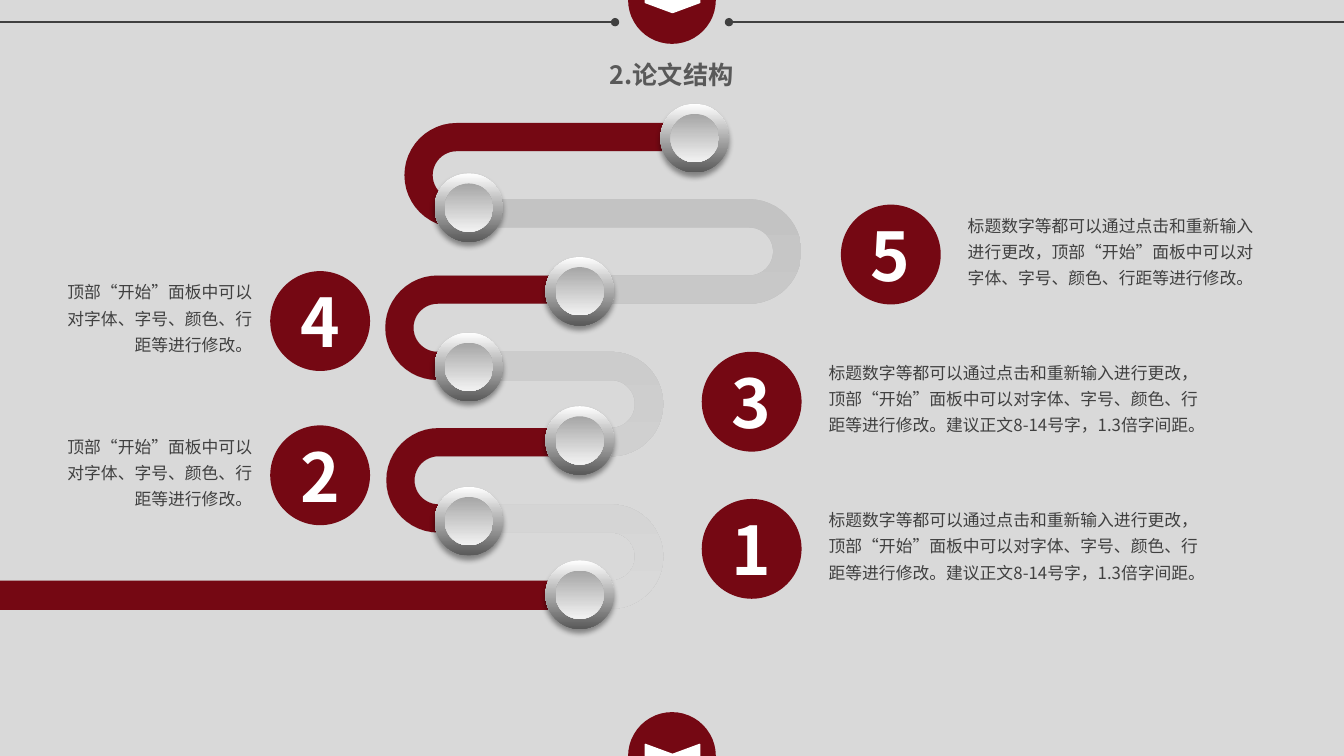
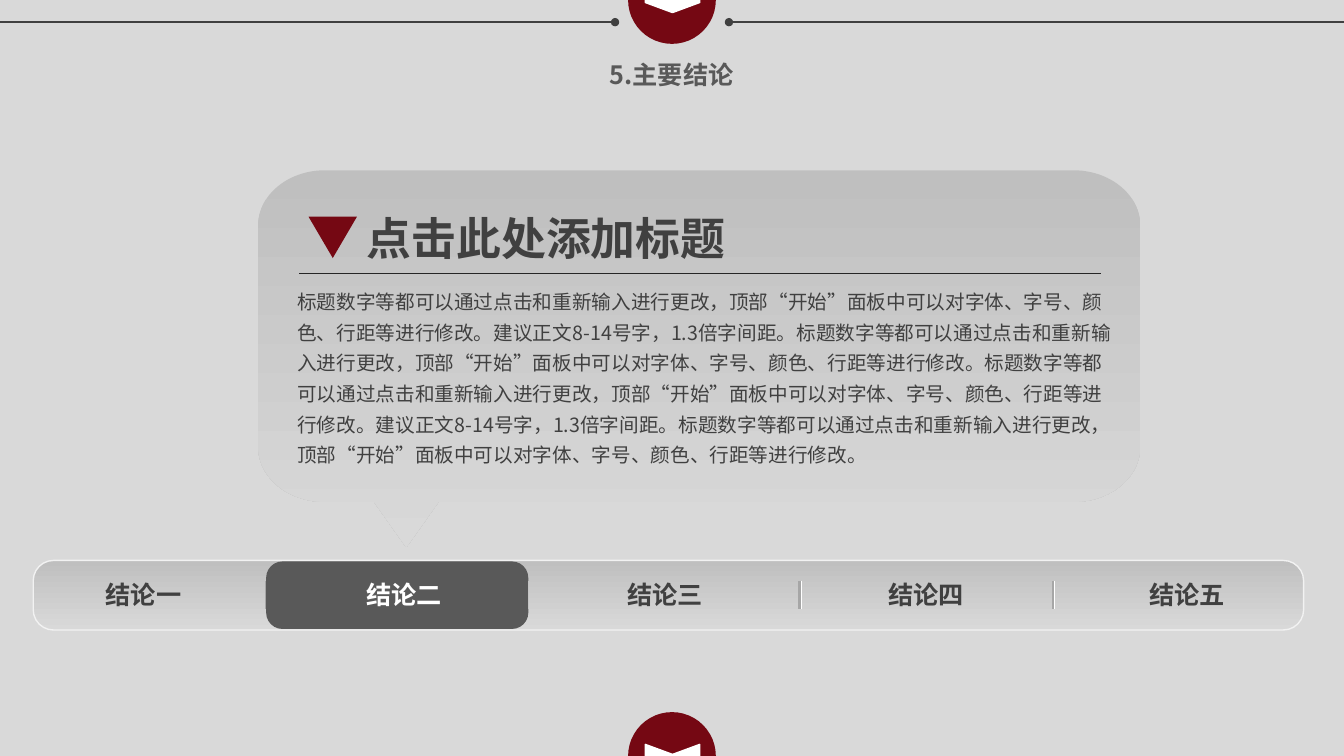
"""Build two thesis slides: a winding road of five points and a conclusion bubble."""
import math

import pptx
import pptx.dml.color
import pptx.enum.shapes
import pptx.enum.text
import pptx.oxml.ns
import pptx.oxml.xmlchemy
import pptx.util
from lxml import etree

Inches = pptx.util.Inches
Pt = pptx.util.Pt
RGBColor = pptx.dml.color.RGBColor
MSO_SHAPE = pptx.enum.shapes.MSO_SHAPE
PP_ALIGN = pptx.enum.text.PP_ALIGN
qn = pptx.oxml.ns.qn

FONT = "Noto Sans CJK SC"
WIDTH, HEIGHT = 13.33, 7.5
BACKGROUND = RGBColor(0xD9, 0xD9, 0xD9)
RED = RGBColor(0x75, 0x08, 0x13)
WHITE = RGBColor(0xFF, 0xFF, 0xFF)
PALE = RGBColor(0xF2, 0xF2, 0xF2)
SILVER = RGBColor(0xBF, 0xBF, 0xBF)
GREY = RGBColor(0xA6, 0xA6, 0xA6)
SLATE = RGBColor(0x59, 0x59, 0x59)
DARK = RGBColor(0x40, 0x40, 0x40)
BLACK = RGBColor(0x26, 0x26, 0x26)

BADGE = 0.87
CIRCLE = 0.99
KNOB = 0.68
HALF_ROAD = 0.14
ROAD_ROWS = [1.36 + 4.54 * row / 6 for row in range(7)]
ROAD_TURNS = [4.53, 7.43, 4.34, 6.06, 4.35, 6.06]
RED_STARTS = {0: 6.84, 2: 5.78, 4: 5.78}
KNOBS = [(5.41, 5.56), (5.41, 4.03), (5.41, 2.55), (4.31, 3.3),
         (4.31, 4.83), (6.55, 1.03), (4.31, 1.72)]

SHORT_NOTE = "顶部“开始”面板中可以对字体、字号、颜色、行距等进行修改。"
NOTE = "标题数字等都可以通过点击和重新输入进行更改，" + SHORT_NOTE
LONG_NOTE = NOTE + "建议正文8-14号字，1.3倍字间距。"
POINTS = [
    ("1", 6.96, 4.95, LONG_NOTE, 4.02, False),
    ("3", 6.96, 3.49, LONG_NOTE, 4.02, False),
    ("2", 2.68, 4.22, SHORT_NOTE, 2.16, True),
    ("4", 2.68, 2.69, SHORT_NOTE, 2.16, True),
    ("5", 8.34, 2.03, NOTE, 3.14, False),
]
TABS = ["结论一", "结论二", "结论三", "结论四", "结论五"]
DIVIDERS = [2.31, 4.9, 7.6, 10.11]


def paint(shape, fill, line=None):
    """Fill a shape with a colour or a downward pair of colours."""
    shape.shadow.inherit = False
    if isinstance(fill, RGBColor):
        shape.fill.solid()
        shape.fill.fore_color.rgb = fill
    else:
        shape.fill.gradient()
        shape.fill.gradient_angle = 270
        for stop, color in zip(shape.fill.gradient_stops, fill):
            stop.color.rgb = color
    if line is None:
        shape.line.fill.background()
    else:
        shape.line.color.rgb = line
        shape.line.width = Pt(1)
    return shape


def add_preset(slide, kind, left, top, width, height, fill, line=None):
    """Add a painted preset shape."""
    shape = slide.shapes.add_shape(
        kind, Inches(left), Inches(top), Inches(width), Inches(height))
    return paint(shape, fill, line)


def add_outline(slide, points, fill):
    """Add a painted closed outline through points in inches."""
    corners = [(Inches(x), Inches(y)) for x, y in points]
    builder = slide.shapes.build_freeform(*corners[0], scale=1.0)
    builder.add_line_segments(corners[1:], close=True)
    return paint(builder.convert_to_shape(), fill)


def add_line(slide, start, end, color, width, dot=False):
    """Add a straight line, with an optional dot at its end."""
    connector = slide.shapes.add_connector(
        pptx.enum.shapes.MSO_CONNECTOR.STRAIGHT,
        *(Inches(value) for value in (*start, *end)))
    connector.line.color.rgb = color
    connector.line.width = Pt(width)
    properties = connector._element.spPr
    if dot:
        etree.SubElement(properties.find(qn("a:ln")), qn("a:tailEnd"), type="oval")
    etree.SubElement(properties, qn("a:effectLst"))


def write(shape, text, size, color, bold=False, align=PP_ALIGN.LEFT, spacing=None):
    """Write one uniformly styled paragraph into a shape."""
    paragraph = shape.text_frame.paragraphs[0]
    paragraph.text = text
    paragraph.alignment = align
    if spacing:
        paragraph.line_spacing = spacing
    font = paragraph.font
    font.name = FONT
    font.size = Pt(size)
    font.bold = bold
    font.color.rgb = color
    defaults = paragraph._p.pPr.find(qn("a:defRPr"))
    etree.SubElement(defaults, qn("a:ea"), typeface=FONT)


def add_text(slide, left, top, width, height, text, size, color, wrap=True, **style):
    """Add a text box that grows with its text."""
    box = slide.shapes.add_textbox(
        Inches(left), Inches(top), Inches(width), Inches(height))
    box.text_frame.word_wrap = wrap
    box.text_frame.auto_size = pptx.enum.text.MSO_AUTO_SIZE.SHAPE_TO_FIT_TEXT
    write(box, text, size, color, **style)


def arc(center_x, center_y, radius_x, radius_y, start, end, steps=24):
    """List the points of an elliptical arc between two angles in degrees."""
    angles = [math.radians(start + (end - start) * step / steps)
              for step in range(steps + 1)]
    return [(center_x + radius_x * math.cos(angle),
             center_y + radius_y * math.sin(angle)) for angle in angles]


def road_edge(start, rows, turns, end, side):
    """List the points along one edge of a road that first runs left."""
    points = [(start, rows[0] - side * HALF_ROAD)]
    direction = -1
    for turn, upper, lower in zip(turns, rows, rows[1:]):
        radius = (lower - upper) / 2 - direction * side * HALF_ROAD
        points += arc(turn, (upper + lower) / 2, direction * radius, radius, -90, 90)
        direction = -direction
    return points + [(end, rows[-1] + direction * side * HALF_ROAD)]


def add_road(slide, start, rows, turns, end, fill):
    """Add a winding road of constant width."""
    outer = road_edge(start, rows, turns, end, 1)
    inner = road_edge(start, rows, turns, end, -1)
    add_outline(slide, outer + inner[::-1], fill)


def add_knob(slide, left, top):
    """Add a shaded round knob with a soft shadow."""
    rim = add_preset(slide, MSO_SHAPE.OVAL, left, top, KNOB, KNOB, (WHITE, SLATE))
    effects = rim._element.spPr.find(qn("a:effectLst"))
    shadow = etree.SubElement(
        effects, qn("a:outerShdw"), blurRad=str(Pt(4)), dist=str(Pt(3)),
        dir="5400000", algn="t", rotWithShape="0")
    color = etree.SubElement(shadow, qn("a:srgbClr"), val="000000")
    etree.SubElement(color, qn("a:alpha"), val="40000")
    add_preset(slide, MSO_SHAPE.OVAL, left + 0.1, top + 0.1,
               KNOB - 0.2, KNOB - 0.2, (GREY, PALE))


def add_point(slide, number, left, top, text, width, text_on_left):
    """Add a numbered circle with its note on one side."""
    circle = add_preset(slide, MSO_SHAPE.OVAL, left, top, CIRCLE, CIRCLE, RED)
    circle.text_frame.vertical_anchor = pptx.enum.text.MSO_ANCHOR.MIDDLE
    write(circle, number, 48, WHITE, bold=True, align=PP_ALIGN.CENTER)
    text_left = left - 0.08 - width if text_on_left else left + 1.16
    align = PP_ALIGN.RIGHT if text_on_left else PP_ALIGN.LEFT
    add_text(slide, text_left, top, width, 0.89, text, 12, DARK,
             align=align, spacing=1.3)


def add_badge(slide, top):
    """Add the centred red badge with its white chevron."""
    left = (WIDTH - BADGE) / 2
    add_preset(slide, MSO_SHAPE.OVAL, left, top, BADGE, BADGE, RED)
    chevron = add_preset(slide, MSO_SHAPE.CHEVRON, left + 0.32, top + 0.17,
                         0.24, 0.54, WHITE, WHITE)
    chevron.adjustments[0] = 0.415
    chevron.rotation = 90


def add_base_slide(presentation, title):
    """Add a slide with the shared background, header lines, title and badges."""
    slide = presentation.slides.add_slide(presentation.slide_layouts[6])
    slide.background.fill.solid()
    slide.background.fill.fore_color.rgb = BACKGROUND
    for outside, inside in ((0, 6.1), (WIDTH, WIDTH - 6.1)):
        add_line(slide, (outside, 0.22), (inside, 0.22), DARK, 1.25, dot=True)
    add_text(slide, 5.5, 0.54, 2.32, 0.4, title, 18, SLATE,
             bold=True, align=PP_ALIGN.CENTER)
    for top in (-BADGE / 2, HEIGHT - BADGE / 2):
        add_badge(slide, top)
    return slide


def add_bubble(slide, left, top, width, height):
    """Add the speech bubble with its heading, rule and body text."""
    right, bottom = left + width, top + height
    radius_x, radius_y = 0.66, 0.55
    near, far = left + radius_x, right - radius_x
    upper, lower = top + radius_y, bottom - radius_y
    tail = [(left + 1.79, bottom), (left + 1.47, bottom + 0.45), (left + 1.15, bottom)]
    add_outline(slide, arc(far, upper, radius_x, radius_y, -90, 0)
                + arc(far, lower, radius_x, radius_y, 0, 90) + tail
                + arc(near, lower, radius_x, radius_y, 90, 180)
                + arc(near, upper, radius_x, radius_y, 180, 270),
                (SILVER, BACKGROUND))
    marker = add_preset(slide, MSO_SHAPE.ISOSCELES_TRIANGLE,
                        left + 0.5, top + 0.46, 0.48, 0.41, RED)
    marker.rotation = 180
    add_text(slide, left + 0.98, top + 0.35, 5.95, 0.64, "点击此处添加标题",
             32, DARK, bold=True)
    add_line(slide, (left + 0.41, top + 1.02), (right - 0.39, top + 1.02), BLACK, 0.5)
    add_text(slide, left + 0.29, top + 1.07, 8.33, 2.22,
             (LONG_NOTE + NOTE) * 2, 14, DARK, spacing=1.3)


def add_tab_bar(slide, left, top, width, height, active):
    """Add the bar of conclusion tabs with one tab highlighted."""
    bar = add_preset(slide, MSO_SHAPE.ROUNDED_RECTANGLE, left, top, width, height,
                     (SILVER, BACKGROUND), PALE)
    bar.adjustments[0] = 0.291
    for offset in DIVIDERS:
        for shift, color in ((0.01, WHITE), (0, GREY)):
            x = left + offset + shift
            add_line(slide, (x, top + 0.2), (x, top + 0.48), color, 1.5)
    tab = add_preset(slide, MSO_SHAPE.ROUNDED_RECTANGLE,
                     left + DIVIDERS[active - 1], top + 0.01, 2.6, height - 0.02, SLATE)
    tab.adjustments[0] = 0.241
    for index, label in enumerate(TABS):
        add_text(slide, left + 0.62 + 10.35 * index / 4, top + 0.14, 0.96, 0.4, label,
                 18, WHITE if index == active else DARK, wrap=False, bold=True)


def build_structure_slide(presentation):
    """Build the slide with the winding road and five points."""
    slide = add_base_slide(presentation, "2.论文结构")
    add_road(slide, 6.84, ROAD_ROWS, ROAD_TURNS, 0, (SILVER, BACKGROUND))
    for index, start in RED_STARTS.items():
        turn = ROAD_TURNS[index]
        add_road(slide, start, ROAD_ROWS[index:index + 2], [turn], turn, RED)
    add_preset(slide, MSO_SHAPE.RECTANGLE, 0, 5.76, 5.73, 0.29, RED)
    for point in POINTS:
        add_point(slide, *point)
    for left, top in KNOBS:
        add_knob(slide, left, top)


def build_conclusion_slide(presentation):
    """Build the slide with the speech bubble and tab bar."""
    slide = add_base_slide(presentation, "5.主要结论")
    add_tab_bar(slide, 0.33, 5.56, 12.6, 0.69, active=1)
    add_bubble(slide, 2.56, 1.69, 8.75, 3.29)


def main():
    """Build and save the presentation."""
    presentation = pptx.Presentation()
    presentation.slide_width = Inches(WIDTH)
    presentation.slide_height = Inches(HEIGHT)
    build_structure_slide(presentation)
    build_conclusion_slide(presentation)
    presentation.save("out.pptx")


if __name__ == "__main__":
    main()
